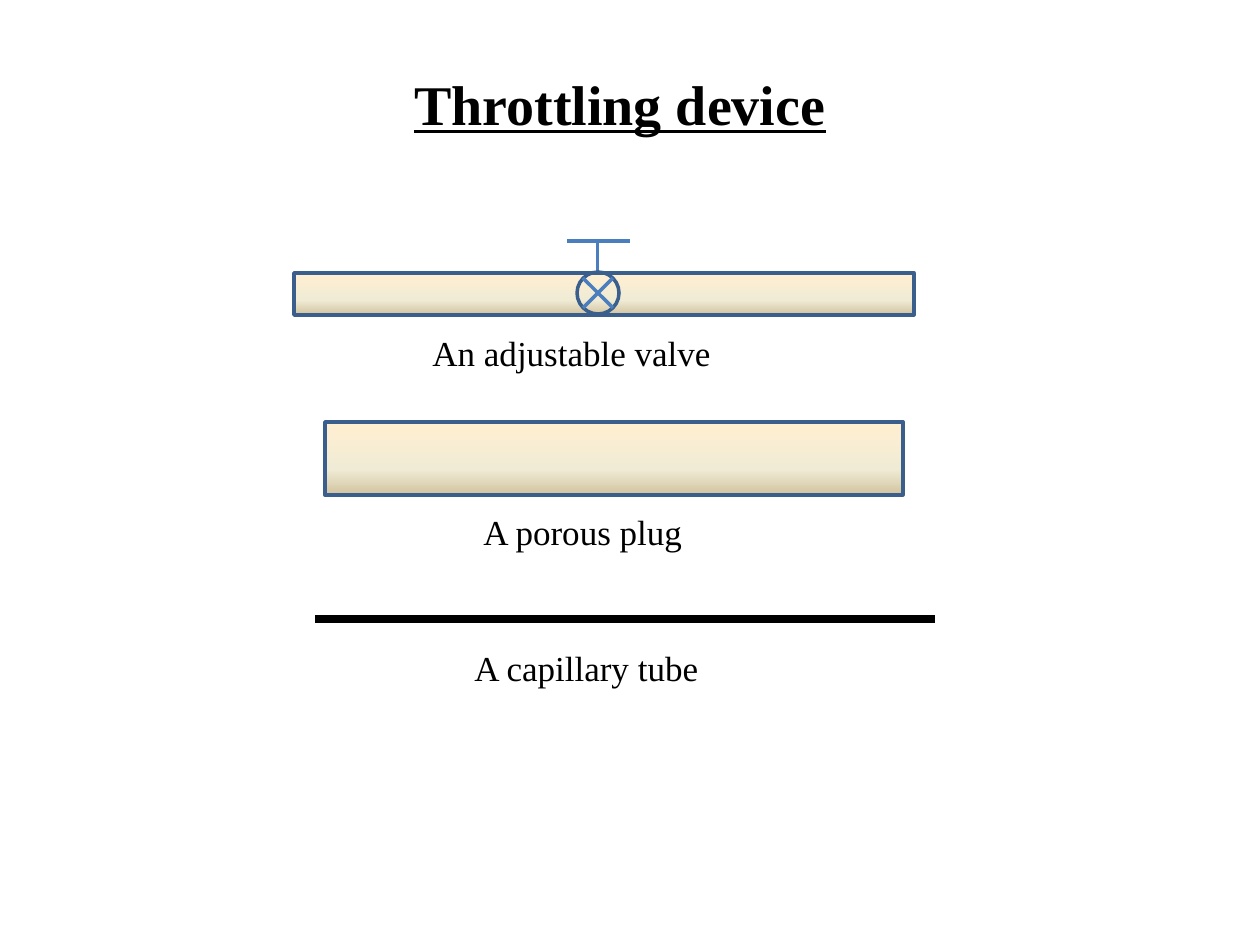
from copy import deepcopy

from lxml import etree
from pptx import Presentation
from pptx.dml.color import RGBColor
from pptx.enum.shapes import MSO_CONNECTOR, MSO_SHAPE
from pptx.enum.text import MSO_AUTO_SIZE, PP_ALIGN
from pptx.oxml.ns import qn
from pptx.util import Pt

PX = 914400 / 126
FONT = "Times New Roman"

BLACK = RGBColor(0x00, 0x00, 0x00)
OUTLINE = RGBColor(0x3A, 0x5F, 0x8C)
VALVE_BLUE = RGBColor(0x4B, 0x7E, 0xBC)
PARCHMENT = (
    (0, RGBColor(0xFF, 0xEF, 0xD1)),
    (0.65, RGBColor(0xF0, 0xEB, 0xD5)),
    (1, RGBColor(0xD1, 0xC3, 0x9F)),
)

RECT = MSO_SHAPE.RECTANGLE
CIRCLE = MSO_SHAPE.FLOWCHART_CONNECTOR
STRAIGHT = MSO_CONNECTOR.STRAIGHT
LEFT, CENTER = PP_ALIGN.LEFT, PP_ALIGN.CENTER
GROW = MSO_AUTO_SIZE.SHAPE_TO_FIT_TEXT


def emu(*lengths):
    return [round(n * PX) for n in lengths]


def write(tf, text, size=20, bold=False, underline=False, align=LEFT):
    p = tf.paragraphs[0]
    p.alignment = align
    r = p.add_run()
    r.text = text
    font = r.font
    font.name, font.size = FONT, Pt(size)
    font.bold, font.underline = bold, underline
    font.color.rgb = BLACK


def fill_gradient(fill, stops):
    """Fill from top to bottom with three (position, colour) stops."""
    fill.gradient()
    fill.gradient_angle = 270
    first = fill.gradient_stops[0]._gs
    first.addnext(deepcopy(first))
    for stop, (position, color) in zip(fill.gradient_stops, stops):
        stop.position = position
        stop.color.rgb = color


class Canvas:
    def __init__(self, slide):
        self.shapes = slide.shapes

    def text(self, x, y, w, h, text, grow=True, **style):
        tf = self.shapes.add_textbox(*emu(x, y, w, h)).text_frame
        tf.word_wrap = True
        if grow:
            tf.auto_size = GROW
        write(tf, text, **style)

    def shape(self, kind, x, y, w, h, stops=None):
        sp = self.shapes.add_shape(kind, *emu(x, y, w, h))
        sp.shadow.inherit = False
        sp.line.color.rgb = OUTLINE
        sp.line.width = Pt(2)
        if stops:
            fill_gradient(sp.fill, stops)
        else:
            sp.fill.background()

    def line(self, x1, y1, x2, y2, color=VALVE_BLUE, width=1.75):
        cxn = self.shapes.add_connector(STRAIGHT, *emu(x1, y1, x2, y2))
        cxn.line.color.rgb = color
        cxn.line.width = Pt(width)
        etree.SubElement(cxn._element.spPr, qn("a:effectLst"))

    def valve(self, cx, top, size):
        """Crossed circle with a T-shaped handle above it."""
        handle_y = top - 31
        self.line(cx, top, cx, handle_y)
        self.line(cx - 31, handle_y, cx + 32, handle_y)
        self.shape(CIRCLE, cx - size // 2, top, size, size)
        cy, arm = top + size // 2, 15
        for dy in (-arm, arm):
            self.line(cx - arm, cy + dy, cx + arm, cy - dy, width=2)


def main():
    prs = Presentation()
    prs.slide_width, prs.slide_height = emu(1260, 945)
    s = Canvas(prs.slides.add_slide(prs.slide_layouts[6]))

    s.text(53, 63, 1134, 122, "Throttling device", grow=False,
           size=32, bold=True, underline=True, align=CENTER)

    s.shape(RECT, 294, 273, 620, 42, PARCHMENT)
    s.valve(598, 272, 42)
    s.shape(RECT, 325, 422, 578, 73, PARCHMENT)
    s.line(315, 619, 935, 619, color=BLACK, width=4.25)

    for x, y, w, caption in (
        (420, 325, 388, "An adjustable valve"),
        (471, 504, 275, "A porous plug"),
        (462, 640, 410, "A capillary tube"),
    ):
        s.text(x, y, w, 55, caption)

    prs.save("out.pptx")


if __name__ == "__main__":
    main()
